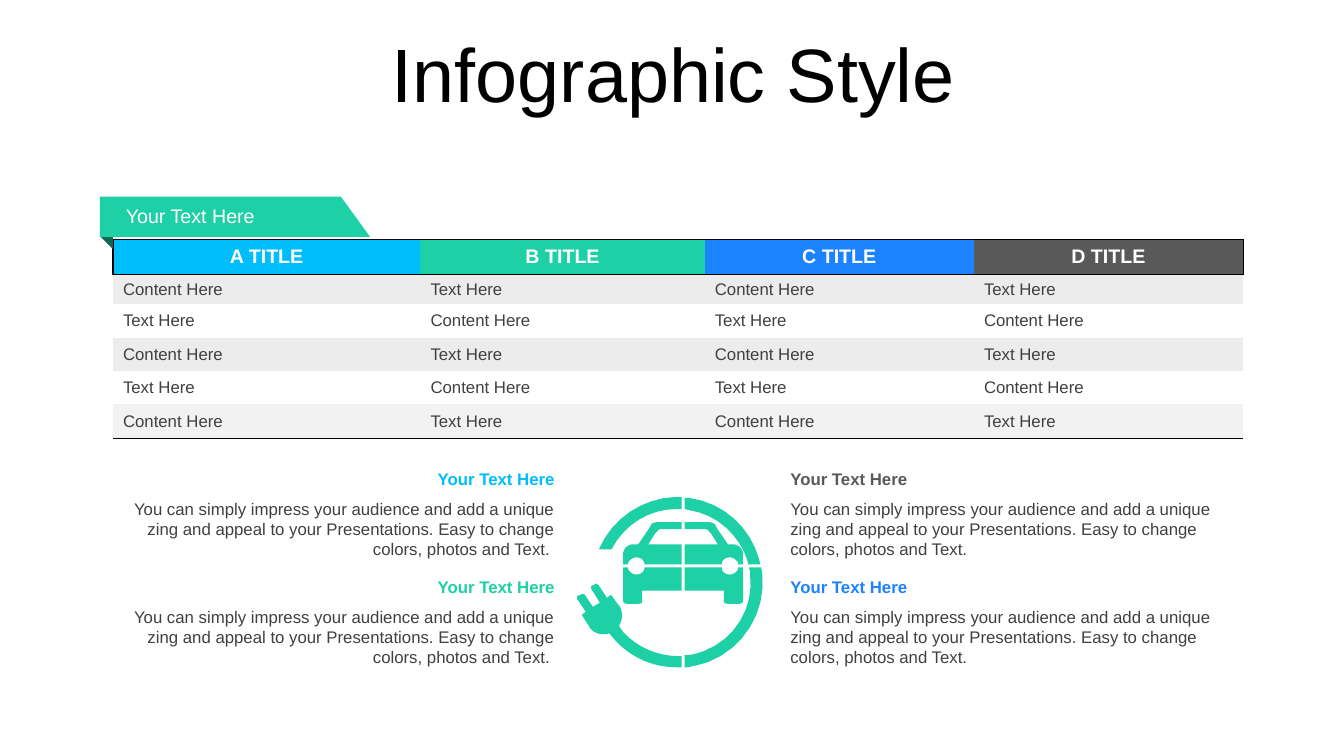
from dataclasses import dataclass

from lxml import etree
from pptx import Presentation
from pptx.dml.color import RGBColor
from pptx.enum.text import MSO_ANCHOR, PP_ALIGN
from pptx.oxml.ns import qn
from pptx.util import Inches, Pt

LEFT, CENTER, RIGHT = PP_ALIGN.LEFT, PP_ALIGN.CENTER, PP_ALIGN.RIGHT
TOP, MIDDLE = MSO_ANCHOR.TOP, MSO_ANCHOR.MIDDLE


@dataclass(frozen=True)
class Theme:
    """Font, type sizes and colours of the slide."""
    font: str = "Arial"
    title: int = 54
    heading: int = 14
    body: int = 12
    black: str = "000000"
    white: str = "FFFFFF"
    text: str = "404040"
    sky: str = "00BDFB"
    green: str = "1ED0A6"
    blue: str = "1C82FF"
    gray: str = "595959"
    fold: str = "0F6853"
    band: str = "ECECEC"
    last_band: str = "F2F2F2"


THEME = Theme()
BLURB = ("You can simply impress your audience and add a unique zing and appeal "
         "to your Presentations. Easy to change colors, photos and Text.")
COLUMNS = [("A TITLE", 3.05, THEME.sky), ("B TITLE", 2.82, THEME.green),
           ("C TITLE", 2.67, THEME.blue), ("D TITLE", 2.67, THEME.gray)]
ROW_HEIGHTS = [0.34, 0.3, 0.33, 0.33, 0.33, 0.34]
ENTRIES = ["Text Here", "Content Here"]
CAR_AXIS_SUM = 13.55

FOLD = "M 1.12,1.97 L 1,1.97 1,2.35 1.12,2.47"
RIBBON = "M 0.99,1.95 L 3.38,1.95 3.67,2.35 0.99,2.35"
PLUG_AND_CABLE = (
    "M 5.92,5.79 C 5.93,5.8 5.93,5.8 5.94,5.81 L 6.02,5.93 6.06,5.9 6.14,6.01 6.15,6.02 "
    "C 6.17,6.07 6.18,6.13 6.15,6.19 L 6.14,6.21 6.18,6.27 C 6.33,6.43 6.53,6.51 6.74,6.51 "
    "L 6.76,6.51 6.76,6.62 6.74,6.62 C 6.5,6.63 6.26,6.53 6.1,6.35 L 6.04,6.28 6.03,6.29 "
    "C 6.02,6.29 6.01,6.29 6,6.29 C 5.94,6.3 5.87,6.27 5.84,6.21 L 5.77,6.1 5.81,6.07 5.73,5.95 "
    "C 5.72,5.94 5.72,5.92 5.73,5.91 L 5.76,5.9 C 5.77,5.89 5.79,5.89 5.8,5.9 "
    "L 5.88,6.02 5.95,5.98 5.87,5.85 C 5.86,5.84 5.86,5.82 5.87,5.81 L 5.9,5.8 "
    "C 5.9,5.79 5.91,5.79 5.92,5.79")
RING = [
    "M 7.43,5.63 L 7.55,5.63 7.56,5.69 C 7.6,6.07 7.38,6.43 7.02,6.57 "
    "C 6.95,6.59 6.88,6.61 6.81,6.62 L 6.79,6.62 6.79,6.5 6.8,6.5 C 6.86,6.5 6.92,6.48 6.98,6.46 "
    "C 7.29,6.34 7.48,6.03 7.44,5.7 C 7.44,5.68 7.44,5.66 7.43,5.64",
    "M 6.79,4.94 L 6.84,4.94 C 7.18,4.99 7.44,5.23 7.53,5.55 L 7.54,5.6 7.42,5.6 7.42,5.58 "
    "C 7.34,5.31 7.11,5.1 6.83,5.06 L 6.79,5.05",
    "M 6.7,4.93 L 6.76,4.93 6.76,5.05 6.71,5.05 C 6.44,5.05 6.2,5.2 6.07,5.44 "
    "L 6.07,5.45 5.94,5.45 C 6.07,5.14 6.38,4.94 6.7,4.93"]
HALF_CAR = [
    "M 6.18,5.63 L 6.23,5.63 6.23,5.65 C 6.25,5.68 6.28,5.7 6.31,5.7 "
    "C 6.35,5.7 6.38,5.68 6.39,5.65 L 6.39,5.63 6.76,5.63 6.76,5.86 6.37,5.86 6.37,5.96 "
    "C 6.37,5.98 6.36,5.99 6.33,5.99 L 6.22,5.99 C 6.2,5.99 6.18,5.98 6.18,5.96",
    "M 6.52,5.18 L 6.76,5.18 6.76,5.25 6.57,5.25 C 6.55,5.25 6.53,5.25 6.52,5.27 "
    "L 6.5,5.29 6.43,5.4 6.76,5.4 6.76,5.6 6.39,5.6 6.39,5.58 C 6.38,5.55 6.35,5.53 6.31,5.53 "
    "C 6.28,5.53 6.25,5.55 6.23,5.58 L 6.23,5.6 6.18,5.6 6.18,5.5 "
    "C 6.18,5.44 6.23,5.4 6.28,5.4 L 6.33,5.4 6.44,5.24 6.46,5.2 C 6.47,5.19 6.5,5.18 6.52,5.18"]


def trace(outline, steps=8):
    """Turn an outline of M, L and C commands into points in inches."""
    points, pending, command = [], [], "M"
    for token in outline.split():
        if token.isalpha():
            command = token
            continue
        pending.append(tuple(float(n) for n in token.split(",")))
        if command == "C" and len(pending) < 3:
            continue
        if command == "C":
            controls = [points[-1], *pending]
            for step in range(1, steps + 1):
                t = step / steps
                weights = ((1 - t) ** 3, 3 * t * (1 - t) ** 2, 3 * t * t * (1 - t), t ** 3)
                points.append(tuple(sum(w * c[axis] for w, c in zip(weights, controls))
                                    for axis in (0, 1)))
        else:
            points += pending
        pending = []
    return points


class SlideBuilder:
    """Draws styled elements on one slide."""

    def __init__(self, slide, theme):
        self.slide, self.theme = slide, theme

    def style(self, paragraph, size, color, bold=False, align=LEFT):
        """Set the alignment and font of a paragraph."""
        paragraph.alignment = align
        font = paragraph.font
        font.name, font.size, font.bold = self.theme.font, Pt(size), bold
        font.color.rgb = RGBColor.from_string(color)

    def text(self, box, words, size, color, bold=False, align=LEFT, anchor=TOP, spacing=None):
        """Add a wrapping text box."""
        frame = self.slide.shapes.add_textbox(*map(Inches, box)).text_frame
        frame.word_wrap, frame.vertical_anchor = True, anchor
        paragraph = frame.paragraphs[0]
        paragraph.text, paragraph.line_spacing = words, spacing
        self.style(paragraph, size, color, bold, align)

    def freeform(self, contours, color):
        """Add one filled shape made of closed contours in inches."""
        builder = None
        for contour in contours:
            start, *rest = [(Inches(x), Inches(y)) for x, y in contour]
            if builder is None:
                builder = self.slide.shapes.build_freeform(*start)
            else:
                builder.move_to(*start)
            builder.add_line_segments(rest, close=True)
        shape = builder.convert_to_shape()
        shape.shadow.inherit = False
        shape.fill.solid()
        shape.fill.fore_color.rgb = RGBColor.from_string(color)
        shape.line.fill.background()

    def borders(self, cell, visible):
        """Draw the named sides of a cell and hide the others."""
        properties = cell._tc.get_or_add_tcPr()
        for position, side in enumerate("LRTB"):
            line = etree.Element(qn(f"a:ln{side}"), w=str(Pt(1)))
            if side in visible:
                fill = etree.SubElement(line, qn("a:solidFill"))
                etree.SubElement(fill, qn("a:srgbClr"), val=self.theme.black)
            else:
                etree.SubElement(line, qn("a:noFill"))
            properties.insert(position, line)

    def cell(self, cell, words, fill, borders, **font):
        """Fill, border and label one table cell."""
        cell.text, cell.vertical_anchor = words, MIDDLE
        self.style(cell.text_frame.paragraphs[0], **font)
        if fill:
            cell.fill.solid()
            cell.fill.fore_color.rgb = RGBColor.from_string(fill)
        else:
            cell.fill.background()
        self.borders(cell, borders)

    def table(self, left, top, columns, heights):
        """Add the table with coloured headings and alternating entries."""
        theme, last_row, last_column = self.theme, len(heights) - 1, len(columns) - 1
        size = sum(width for _, width, _ in columns), sum(heights)
        grid = self.slide.shapes.add_table(
            len(heights), len(columns), *map(Inches, (left, top, *size))).table
        grid.first_row = grid.horz_banding = False
        for row, height in enumerate(heights):
            grid.rows[row].height = Inches(height)
        for column, (heading, width, color) in enumerate(columns):
            grid.columns[column].width = Inches(width)
            sides = "TB" + "L" * (column == 0) + "R" * (column == last_column)
            self.cell(grid.cell(0, column), heading, color, sides,
                      size=theme.heading, color=theme.white, bold=True, align=CENTER)
            for row in range(1, last_row + 1):
                band = theme.last_band if row == last_row else theme.band
                sides = "T" * (row == 1) + "B" * (row == last_row)
                self.cell(grid.cell(row, column), ENTRIES[(row + column) % 2],
                          band if row % 2 else None, sides, size=theme.body, color=theme.text)

    def caption(self, left, top, color, blurb, align):
        """Add a coloured heading with its paragraph below."""
        size = self.theme.body
        self.text((left, top + 0.3, 4.65, 0.71), blurb, size, self.theme.text, align=align)
        self.text((left, top, 4.65, 0.3), "Your Text Here", size, color, True, align)


def main():
    """Build and save the slide."""
    deck = Presentation()
    deck.slide_width, deck.slide_height = Inches(13.33), Inches(7.5)
    page = SlideBuilder(deck.slides.add_slide(deck.slide_layouts[6]), THEME)
    page.text((0.35, 0.31, 12.66, 0.92), "Infographic Style", THEME.title, THEME.black,
              align=CENTER, anchor=MIDDLE, spacing=0.9)
    page.table(1.12, 2.38, COLUMNS, ROW_HEIGHTS)
    page.freeform([trace(FOLD)], THEME.fold)
    page.freeform([trace(RIBBON)], THEME.green)
    page.text((1.15, 1.97, 2.06, 0.34), "Your Text Here", THEME.heading, THEME.white)
    for top, left_color, right_color in [(4.6, THEME.sky, THEME.gray),
                                         (5.67, THEME.green, THEME.blue)]:
        page.caption(0.95, top, left_color, BLURB + " ", RIGHT)
        page.caption(7.74, top, right_color, BLURB, LEFT)
    left_car = [trace(part) for part in HALF_CAR]
    right_car = [[(CAR_AXIS_SUM - x, y) for x, y in part] for part in left_car]
    ring = [trace(part) for part in RING]
    page.freeform([trace(PLUG_AND_CABLE), *ring, *left_car, *right_car], THEME.green)
    deck.save("out.pptx")


if __name__ == "__main__":
    main()
